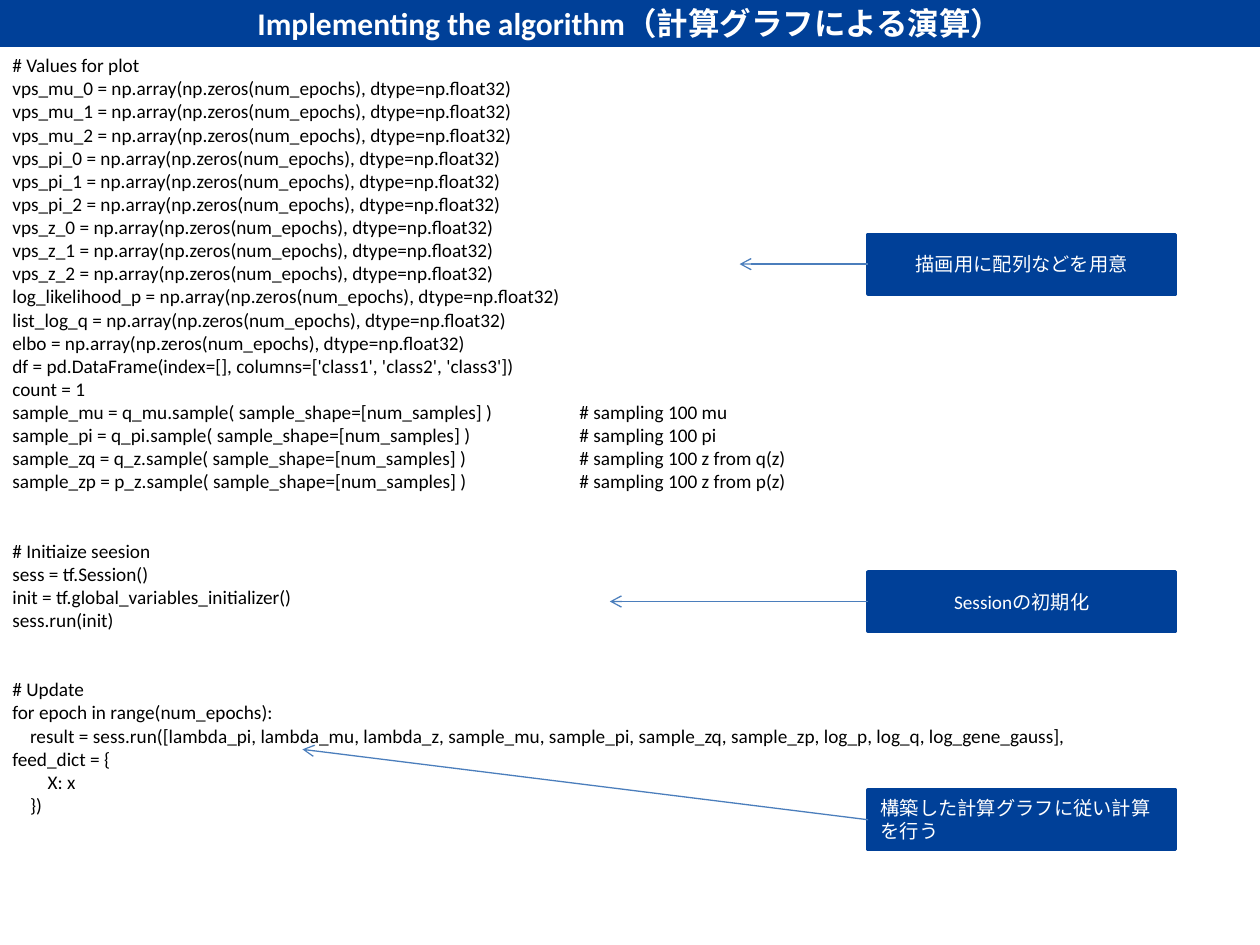
from lxml.etree import SubElement
from pptx import Presentation
from pptx.dml.color import RGBColor
from pptx.enum.shapes import MSO_CONNECTOR, MSO_SHAPE
from pptx.enum.text import MSO_ANCHOR, PP_ALIGN
from pptx.oxml.ns import qn
from pptx.util import Inches, Pt

COLORS = {"navy": "004098", "arrow": "4B7EBC", "white": "FFFFFF", "black": "000000"}
FONT = "Calibri"
CODE_SIZE = 11
BLOCK_GAP = 26.4  # two code lines, in points
INDENT_STEP = 0.14  # one level of code, in inches
SLIDE_W, SLIDE_H = Inches(10), Inches(7.5)

# Callout column, in percent of the slide
CALLOUT_LEFT, CALLOUT_WIDTH, CALLOUT_HEIGHT = 68.9, 24.4, 6.3


def zeros_line(name):
    return 0, f"{name} = np.array(np.zeros(num_epochs), dtype=np.float32)"


def sample_line(target, source, note):
    return 0, f"sample_{target} = {source}.sample( sample_shape=[num_samples] )\t\t# sampling 100 {note}"


ARRAYS = [f"vps_{kind}_{k}" for kind in ("mu", "pi", "z") for k in range(3)]
ARRAYS += ["log_likelihood_p", "list_log_q", "elbo"]

# Code blocks: (indent level, line)
CODE_BLOCKS = [
    [
        (0, "# Values for plot"),
        *map(zeros_line, ARRAYS),
        (0, "df = pd.DataFrame(index=[], columns=['class1', 'class2', 'class3'])"),
        (0, "count = 1"),
        sample_line("mu", "q_mu", "mu"),
        sample_line("pi", "q_pi", "pi"),
        sample_line("zq", "q_z", "z from q(z)"),
        sample_line("zp", "p_z", "z from p(z)"),
    ],
    [
        (0, "# Initiaize seesion"),
        (0, "sess = tf.Session()"),
        (0, "init = tf.global_variables_initializer()"),
        (0, "sess.run(init)"),
    ],
    [
        (0, "# Update"),
        (0, "for epoch in range(num_epochs):"),
        (1, "result = sess.run([lambda_pi, lambda_mu, lambda_z, sample_mu, sample_pi, "
            "sample_zq, sample_zp, log_p, log_q, log_gene_gauss], feed_dict = {"),
        (2, "X: x"),
        (1, "})"),
    ],
]

# Callouts: text, top, arrow tip (x, y; None = level), alignment
CALLOUTS = [
    ("描画用に配列などを用意", 24.8, (58.7, None), PP_ALIGN.CENTER),
    ("Sessionの初期化", 60.5, (48.4, None), PP_ALIGN.CENTER),
    ("構築した計算グラフに従い計算を行う", 83.6, (24, 79.3), PP_ALIGN.LEFT),
]


def across(percent):
    return round(SLIDE_W * percent / 100)


def down(percent):
    return round(SLIDE_H * percent / 100)


def color(name):
    return RGBColor.from_string(COLORS[name])


def style_font(paragraph, size, color_name, bold=False):
    font = paragraph.font
    font.name, font.size, font.bold = FONT, Pt(size), bold
    font.color.rgb = color(color_name)


def add_panel(slide, text, left, top, width, height, size, align, bold=False):
    panel = slide.shapes.add_shape(
        MSO_SHAPE.RECTANGLE, across(left), down(top), across(width), down(height))
    panel.shadow.inherit = False
    panel.fill.solid()
    panel.fill.fore_color.rgb = color("navy")
    panel.line.color.rgb = color("navy")
    panel.line.width = Pt(2)
    panel.text_frame.vertical_anchor = MSO_ANCHOR.MIDDLE
    label = panel.text_frame.paragraphs[0]
    label.text = text
    label.alignment = align
    style_font(label, size, "white", bold)
    return panel


def add_arrow(slide, callout, tip):
    middle = callout.top + callout.height // 2
    tip_x, tip_y = tip
    end_y = middle if tip_y is None else down(tip_y)
    arrow = slide.shapes.add_connector(
        MSO_CONNECTOR.STRAIGHT, callout.left, middle, across(tip_x), end_y)
    arrow.begin_connect(callout, 1)
    arrow.line.color.rgb = color("arrow")
    arrow.line.width = Pt(0.75)
    SubElement(arrow.line._get_or_add_ln(), qn("a:tailEnd"), type="arrow")
    SubElement(arrow._element.spPr, qn("a:effectLst"))


def add_code(slide, blocks):
    listing = slide.shapes.add_textbox(0, down(5), across(88.6), down(82.8)).text_frame
    listing.word_wrap = True
    paragraph = None
    for block_no, block in enumerate(blocks):
        for line_no, (level, text) in enumerate(block):
            paragraph = listing.add_paragraph() if paragraph else listing.paragraphs[0]
            paragraph.text = text
            style_font(paragraph, CODE_SIZE, "black")
            if block_no and not line_no:
                paragraph.space_before = Pt(BLOCK_GAP)
            if level:  # first line only, wrapped text returns to the margin
                properties = paragraph._p.get_or_add_pPr()
                properties.set("marL", "0")
                properties.set("indent", str(Inches(INDENT_STEP * level)))


def main():
    presentation = Presentation()
    presentation.slide_width, presentation.slide_height = SLIDE_W, SLIDE_H
    slide = presentation.slides.add_slide(presentation.slide_layouts[6])

    # Code listing
    add_code(slide, CODE_BLOCKS)

    # Title bar
    add_panel(slide, "Implementing the algorithm（計算グラフによる演算）",
              0, 0, 100, 4.8, 18, PP_ALIGN.CENTER, bold=True)

    # Callouts pointing at the code
    for text, top, tip, align in CALLOUTS:
        callout = add_panel(slide, text, CALLOUT_LEFT, top, CALLOUT_WIDTH,
                            CALLOUT_HEIGHT, CODE_SIZE, align)
        add_arrow(slide, callout, tip)

    presentation.save("out.pptx")


if __name__ == "__main__":
    main()
